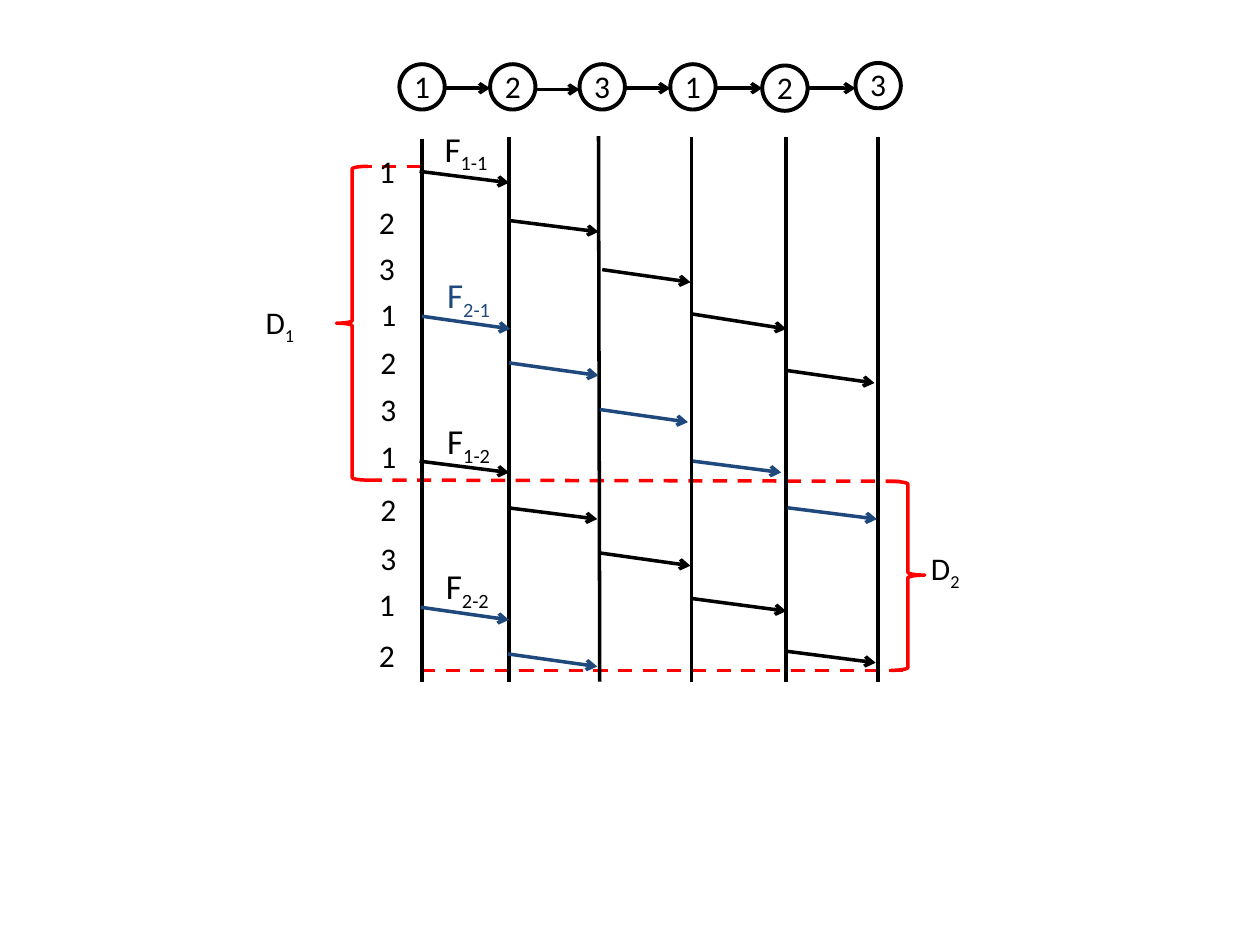
"""Build a slide showing flows hopping across a slotted chain of nodes."""
from pptx import Presentation
from pptx.dml.color import RGBColor
from pptx.enum.dml import MSO_LINE
from pptx.enum.shapes import MSO_CONNECTOR, MSO_SHAPE
from pptx.enum.text import MSO_ANCHOR, MSO_AUTO_SIZE, PP_ALIGN
from pptx.oxml.ns import qn
from pptx.util import Pt
from lxml.etree import SubElement

PX = 9144
BLACK = RGBColor(0x00, 0x00, 0x00)
WHITE = RGBColor(0xFF, 0xFF, 0xFF)
RED = RGBColor(0xFF, 0x00, 0x00)
BLUE = RGBColor(0x1F, 0x49, 0x7D)
FONT = "Calibri"
NODE_SIZE = 36

NODES = [("1", 317, 51), ("2", 389, 51), ("3", 460, 51),
         ("1", 532, 51), ("2", 605, 52), ("3", 679, 50)]
LINK_YS = [70, 71, 70, 70, 70]
LANES = [(335, 110, 335), (404, 109, 404), (475, 108, 476),
         (549, 109, 549), (624, 109, 624), (697, 109, 697)]
LANE_BOTTOM = 541
SLOTS = [("1", 291, 116), ("2", 291, 156), ("3", 291, 193), ("1", 292, 229),
         ("2", 292, 267), ("3", 292, 305), ("1", 292, 342), ("2", 292, 384),
         ("3", 292, 423), ("1", 291, 459), ("2", 291, 500)]
FLOWS = [
    ("1-1", BLACK, (343, 96), [
        (333, 136, 404, 145), (404, 175, 475, 184), (478, 214, 548, 224),
        (548, 249, 624, 261), (624, 294, 694, 304)]),
    ("2-1", BLUE, (345, 212), [
        (335, 251, 405, 261), (404, 288, 475, 298), (476, 325, 546, 335),
        (550, 366, 620, 375), (625, 403, 696, 412)]),
    ("1-2", BLACK, (345, 328), [
        (333, 366, 404, 375), (403, 403, 474, 412), (477, 439, 548, 449),
        (549, 475, 624, 485), (625, 517, 695, 526)]),
    ("2-2", BLUE, (344, 443), [
        (334, 482, 404, 492), (403, 519, 474, 529)]),
]
BLUE_LABELS = {"2-1"}
DASHES = [(717, 532, 335, 532), (714, 382, 292, 381), (334, 132, 292, 132)]
BRACES = [(267, 132, 25, 249, 0, 0.5), (707, 382, 27, 150, 180, 0.504)]
DELAYS = [("1", 201, 236), ("2", 729, 431)]


def px(*values):
    return [v * PX for v in values]


def add_line(s, ends, color, dash=False, arrow=False):
    c = s.shapes.add_connector(MSO_CONNECTOR.STRAIGHT, *px(*ends))
    c.line.color.rgb = color
    c.line.width = Pt(2)
    if dash:
        c.line.dash_style = MSO_LINE.DASH
    if arrow:
        SubElement(c.line._get_or_add_ln(), qn("a:tailEnd"), type="arrow")
    SubElement(c._element.spPr, qn("a:effectLst"))


def add_shape(s, kind, box, color, width):
    sp = s.shapes.add_shape(kind, *px(*box))
    sp.shadow.inherit = False
    sp.fill.background()
    sp.line.color.rgb = color
    sp.line.width = Pt(width)
    return sp


def set_text(tf, text, size, color, sub=""):
    p = tf.paragraphs[0]
    p.add_run().text = text
    if sub:
        r = p.add_run()
        r.text = sub
        r.font._element.set("baseline", "-25000")
    p.font.name, p.font.size = FONT, Pt(size)
    p.font.color.rgb = color
    return p


def add_label(s, box, text, size=18, color=BLACK, sub="", wrap=False):
    tf = s.shapes.add_textbox(*px(*box)).text_frame
    tf.word_wrap = wrap
    tf.auto_size = MSO_AUTO_SIZE.SHAPE_TO_FIT_TEXT
    set_text(tf, text, size, color, sub)


def add_node(s, text, x, y):
    sp = add_shape(s, MSO_SHAPE.OVAL, (x, y, NODE_SIZE, NODE_SIZE), BLACK, 2.25)
    sp.fill.solid()
    sp.fill.fore_color.rgb = WHITE
    tf = sp.text_frame
    tf.margin_left = tf.margin_right = tf.margin_top = 0
    tf.margin_bottom = 2 * PX
    tf.word_wrap = False
    tf.vertical_anchor = MSO_ANCHOR.MIDDLE
    set_text(tf, text, 18, BLACK).alignment = PP_ALIGN.CENTER


def main():
    prs = Presentation()
    prs.slide_width, prs.slide_height = px(1000, 750)
    s = prs.slides.add_slide(prs.slide_layouts[6])

    for ends in DASHES:
        add_line(s, ends, RED, dash=True)
    for node in NODES:
        add_node(s, *node)
    for (_, x, _), (_, next_x, _), y in zip(NODES, NODES[1:], LINK_YS):
        add_line(s, (x + NODE_SIZE, y, next_x, y), BLACK, arrow=True)
    for x, top, foot in LANES:
        add_line(s, (x, top, foot, LANE_BOTTOM), BLACK)
    for name, color, (x, y), hops in FLOWS:
        label_color = BLUE if name in BLUE_LABELS else BLACK
        add_label(s, (x, y, 58, 44), "F", 20, label_color, name)
        for ends in hops:
            add_line(s, ends, color, arrow=True)
    for *box, angle, point in BRACES:
        sp = add_shape(s, MSO_SHAPE.LEFT_BRACE, box, RED, 2)
        sp.rotation = angle
        sp.adjustments[1] = point
    for text, x, y in SLOTS:
        add_label(s, (x, y, 33, 40), text)
    for sub, x, y in DELAYS:
        add_label(s, (x, y, 56, 40), "D", sub=sub, wrap=True)

    prs.save("out.pptx")


if __name__ == "__main__":
    main()
